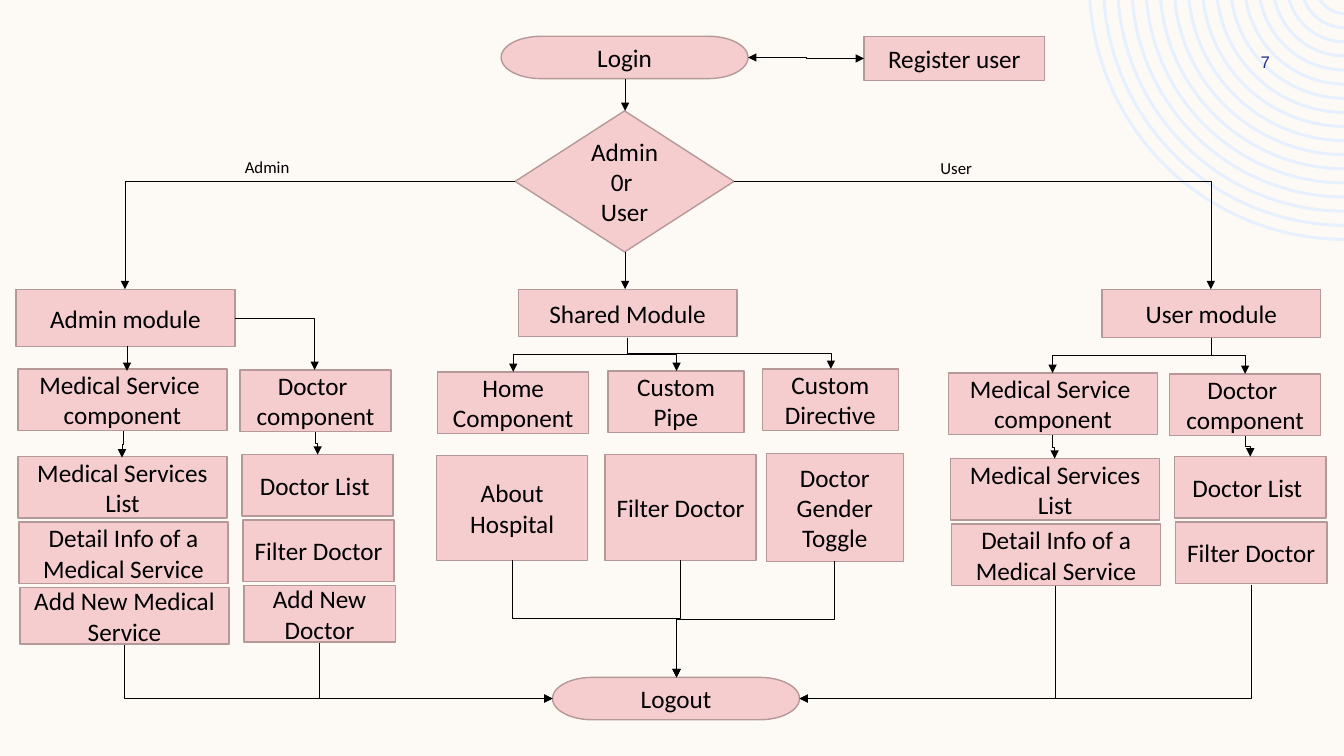
from math import acos, asin, cos, degrees, pi, sin

from lxml import etree
from pptx import Presentation
from pptx.dml.color import RGBColor
from pptx.enum.shapes import MSO_CONNECTOR as CONN, MSO_SHAPE as SHAPE
from pptx.enum.text import MSO_ANCHOR as ANCHOR, PP_ALIGN as ALIGN
from pptx.oxml.ns import qn
from pptx.util import Inches, Pt

W, H = 13.33, 7.5
PROCESS = SHAPE.FLOWCHART_PROCESS
TERMINATOR = SHAPE.FLOWCHART_TERMINATOR
DECISION = SHAPE.FLOWCHART_DECISION

# Single boxes: left, top, width, height, text
NODES = [
    (TERMINATOR, 4.97, 0.36, 2.45, 0.42, "Login"),
    (DECISION, 5.11, 1.1, 2.17, 1.4, "Admin 0r \nUser"),
    (PROCESS, 8.57, 0.36, 1.79, 0.44, "Register user"),
    (PROCESS, 0.16, 2.87, 2.17, 0.57, "Admin module"),
    (PROCESS, 5.14, 2.87, 2.17, 0.47, "Shared Module"),
    (PROCESS, 10.93, 2.87, 2.17, 0.48, "User module"),
    (PROCESS, 0.18, 3.66, 2.07, 0.61, "Medical Service \ncomponent"),
    (PROCESS, 2.38, 3.67, 1.5, 0.61, "Doctor \ncomponent"),
    (PROCESS, 4.34, 3.69, 1.5, 0.61, "Home Component"),
    (PROCESS, 6.03, 3.68, 1.35, 0.61, "Custom Pipe"),
    (PROCESS, 7.56, 3.66, 1.35, 0.61, "Custom Directive"),
    (PROCESS, 9.41, 3.7, 2.07, 0.61, "Medical Service \ncomponent"),
    (PROCESS, 11.6, 3.71, 1.5, 0.61, "Doctor \ncomponent"),
    (PROCESS, 4.33, 4.52, 1.5, 1.04, "About Hospital"),
    (PROCESS, 6, 4.51, 1.5, 1.05, "Filter Doctor"),
    (PROCESS, 7.6, 4.5, 1.36, 1.07, "Doctor Gender Toggle"),
    (TERMINATOR, 5.48, 6.72, 2.45, 0.42, "Logout"),
]

# Feature stacks: left, top, width, texts
SERVICES = ["Medical Services List", "Detail Info of a Medical Service",
            "Add New Medical Service"]
DOCTORS = ["Doctor List ", "Filter Doctor", "Add New Doctor"]
STACKS = [
    (0.18, 4.53, 2.07, SERVICES),
    (2.4, 4.51, 1.5, DOCTORS),
    (9.43, 4.55, 2.07, SERVICES[:2]),
    (11.65, 4.53, 1.5, DOCTORS[:2]),
]

# Arrows by route (H = horizontal leg, V = vertical leg): x1, y1, x2, y2
ARROWS = {
    "V": [(1.26, 3.43, 1.26, 3.68)],
    "HV": [(5.11, 1.8, 1.24, 2.87), (7.28, 1.8, 12.01, 2.87),
           (2.33, 3.16, 3.12, 3.67)],
    "VH": [(1.23, 6.4, 5.48, 6.93), (3.17, 6.38, 5.48, 6.93),
           (10.47, 5.81, 7.93, 6.93), (12.41, 5.8, 7.93, 6.93)],
    "VHV": [(6.2, 0.78, 6.2, 1.1), (6.2, 2.5, 6.2, 2.87),
            (6.22, 3.35, 5.09, 3.69), (6.22, 3.35, 6.71, 3.68),
            (6.22, 3.35, 8.24, 3.66),
            (12.01, 3.35, 10.44, 3.7), (12.01, 3.35, 12.35, 3.71),
            (1.22, 4.28, 1.21, 4.54), (3.13, 4.29, 3.15, 4.51),
            (10.44, 4.32, 10.46, 4.55), (12.35, 4.33, 12.4, 4.53),
            (5.08, 5.56, 6.71, 6.72), (6.75, 5.56, 6.71, 6.72),
            (8.28, 5.57, 6.71, 6.72)],
}


def color(hex_value):
    return RGBColor.from_string(hex_value)


def write(shape, text, size=18, font="Calibri", hex_value="000000",
          align=ALIGN.CENTER, anchor=ANCHOR.MIDDLE):
    tf = shape.text_frame
    tf.text = text
    tf.word_wrap = True
    tf.vertical_anchor = anchor
    for p in tf.paragraphs:
        p.alignment = align
        for r in p.runs:
            r.font.size, r.font.name = Pt(size), font
            r.font.color.rgb = color(hex_value)


def add_node(s, kind, x, y, w, h, text):
    sp = s.shapes.add_shape(kind, Inches(x), Inches(y), Inches(w), Inches(h))
    sp.shadow.inherit = False
    sp.fill.solid()
    sp.fill.fore_color.rgb = color("F5CDCE")
    sp.line.color.rgb = color("B59898")
    sp.line.width = Pt(1)
    write(sp, text)


def add_stack(s, x, y, w, texts):
    for i, text in enumerate(texts):
        h = 0.56 if i == 2 else 0.61
        add_node(s, PROCESS, x + 0.01 * i, y + 0.65 * i, w, h, text)


def add_label(s, x, y, w, text, **style):
    tb = s.shapes.add_textbox(Inches(x), Inches(y), Inches(w), Inches(0.3))
    write(tb, text, 12, **style)


def add_arrow(s, route, x1, y1, x2, y2, both=False):
    turned = route in ("VH", "VHV")
    to_right = x2 > x1
    if turned:
        # Swap the frame's sides around its centre, then rotate it
        cx, cy = (x1 + x2) / 2, (y1 + y2) / 2
        half_w, half_h = (y2 - y1) / 2, abs(x2 - x1) / 2
        if to_right:
            half_w = -half_w
        x1, y1, x2, y2 = cx - half_w, cy - half_h, cx + half_w, cy + half_h
    kind = CONN.STRAIGHT if route == "V" else CONN.ELBOW
    c = s.shapes.add_connector(kind, *map(Inches, (x1, y1, x2, y2)))
    c.line.color.rgb = color("000000")
    c.line.width = Pt(0.5)
    sp_pr = c._element.spPr
    if turned:
        sp_pr.find(qn("a:xfrm")).set("rot", str((270 if to_right else 90) * 60000))
    if len(route) == 2:
        sp_pr.find(qn("a:prstGeom")).set("prst", "bentConnector2")
    ln = sp_pr.find(qn("a:ln"))
    for end in ["headEnd", "tailEnd"] if both else ["tailEnd"]:
        etree.SubElement(ln, qn("a:" + end), type="triangle")
    etree.SubElement(sp_pr, qn("a:effectLst"))


def arc(cx, cy, radius):
    """End points of a curve from the top edge to the right edge, and its angles."""
    first, last = pi - asin(-cy / radius), acos((W - cx) / radius)
    points = [(Inches(cx + radius * cos(a)), Inches(cy + radius * sin(a)))
              for a in (first, last)]
    return points, (radius, first, last)


def bend(line, radius, first, last):
    """Turn a straight path segment into a circular arc."""
    r = str(Inches(radius))
    start, sweep = (str(round(degrees(a) * 60000)) for a in (first, last - first))
    curve = etree.Element(qn("a:arcTo"), wR=r, hR=r, stAng=start, swAng=sweep)
    line.getparent().replace(line, curve)


def add_rings(s, cx=13.34, cy=-0.16, outer=2.55, step=0.14, count=17):
    fb, curves = None, []
    for i in range(count):
        radius = outer - step * i
        out_points, out_curve = arc(cx, cy, radius)
        in_points, (in_radius, first, last) = arc(cx, cy, radius - 0.03)
        points = out_points + in_points[::-1]
        if fb is None:
            fb = s.shapes.build_freeform(*points[0])
        else:
            fb.move_to(*points[0])
        fb.add_line_segments(points[1:], close=True)
        curves += [out_curve, None, (in_radius, last, first)]
    sp = fb.convert_to_shape()
    for line, curve in zip(list(sp._element.iter(qn("a:lnTo"))), curves):
        if curve:
            bend(line, *curve)
    sp.shadow.inherit = False
    sp.fill.solid()
    sp.fill.fore_color.rgb = color("E6F0FE")
    sp.line.fill.background()


def main():
    prs = Presentation()
    prs.slide_width, prs.slide_height = Inches(W), Inches(H)
    s = prs.slides.add_slide(prs.slide_layouts[6])
    s.background.fill.solid()
    s.background.fill.fore_color.rgb = color("FDFAF6")

    # Corner decoration and slide number
    add_rings(s)
    add_label(s, 12.01, 0.46, 1.08, "7", font="Arial", hex_value="1F2C8F")

    # Boxes
    for node in NODES:
        add_node(s, *node)
    for stack in STACKS:
        add_stack(s, *stack)

    # Arrows and branch labels
    add_arrow(s, "HVH", 7.42, 0.57, 8.57, 0.58, both=True)
    for route, arrows in ARROWS.items():
        for ends in arrows:
            add_arrow(s, route, *ends)
    for x, y, text in [(2.33, 1.51, "Admin"), (9.23, 1.52, "User")]:
        add_label(s, x, y, 1.13, text, align=ALIGN.LEFT, anchor=ANCHOR.TOP)

    prs.save("out.pptx")


main()
